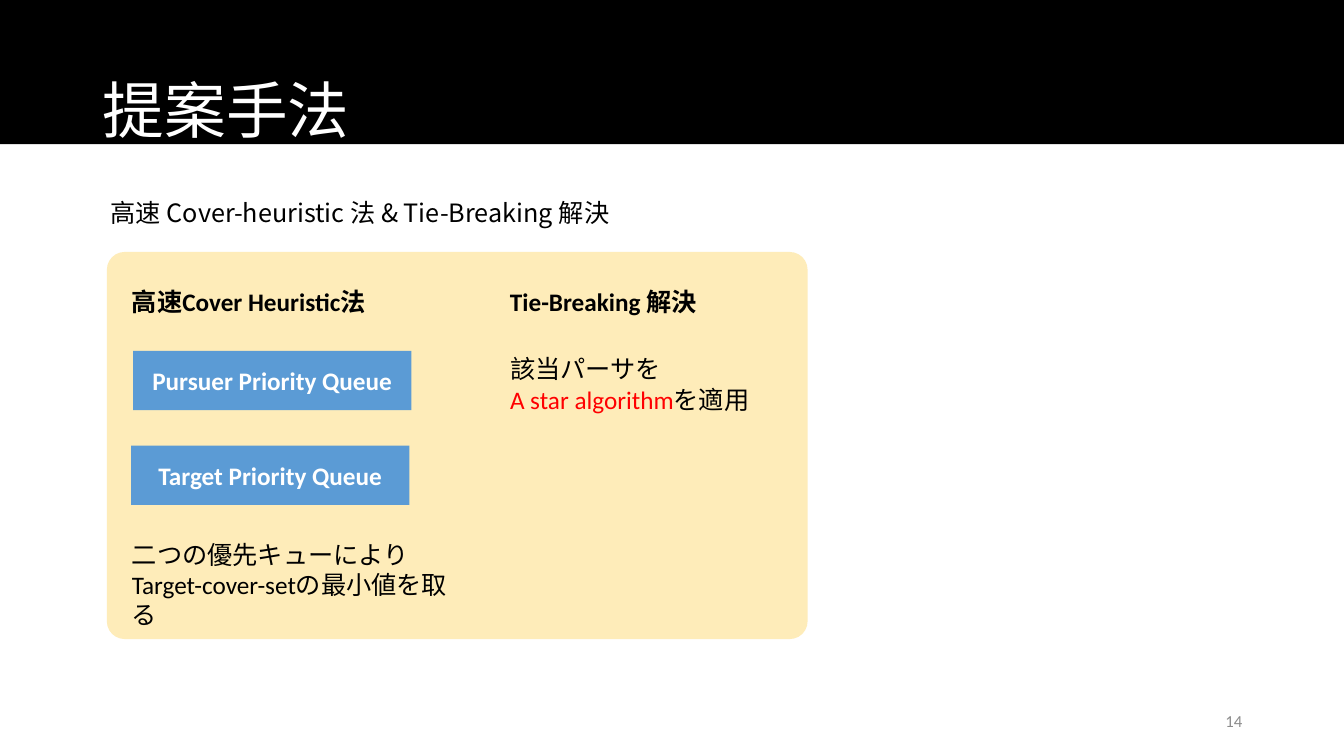
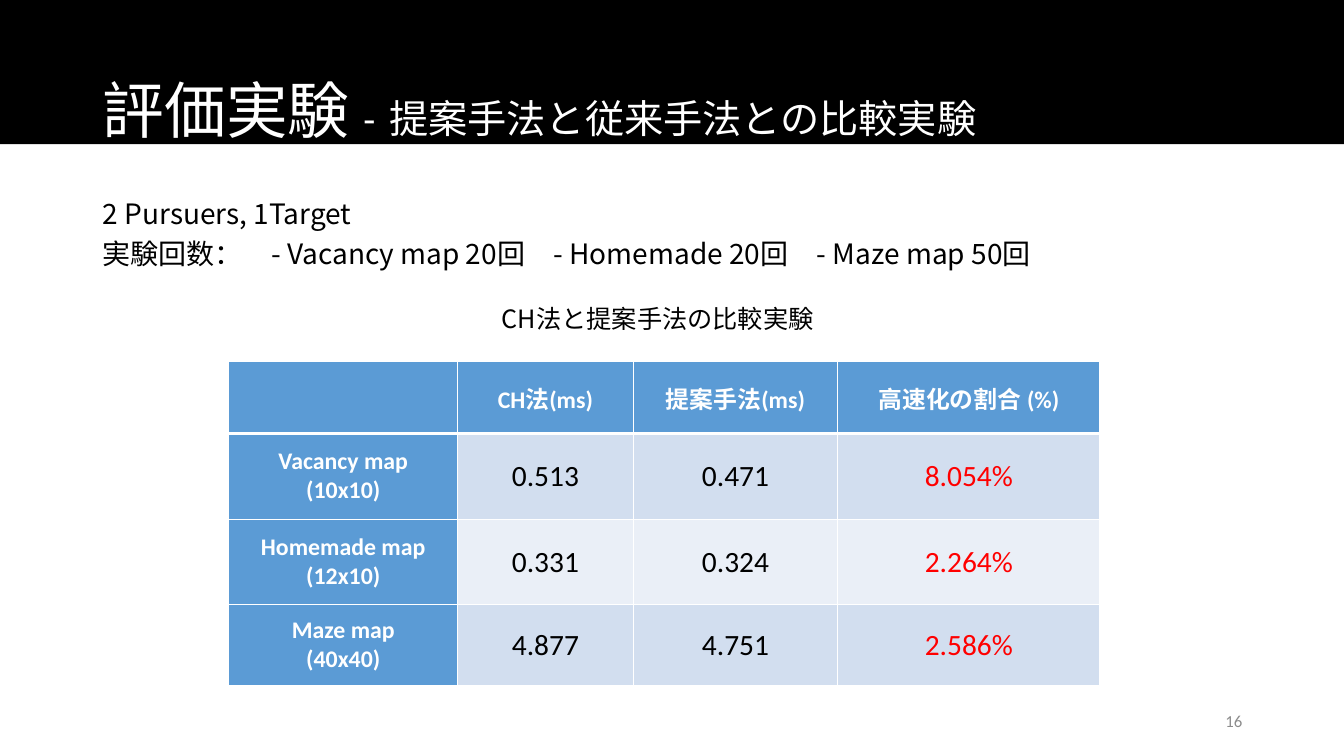
import lxml.etree
import pptx
import pptx.dml.color
import pptx.enum.shapes
import pptx.enum.text
import pptx.oxml.ns
import pptx.util
from pptx.util import Inches

ALIGN = pptx.enum.text.PP_ALIGN
ANCHOR = pptx.enum.text.MSO_ANCHOR
SHAPE = pptx.enum.shapes.MSO_SHAPE

LATIN, CJK = "Calibri", "Noto Sans CJK JP"
BLACK, WHITE, RED, GREY = "000000", "FFFFFF", "FF0000", "8C8C8C"
BLUE, CREAM = "5B9BD5", "FEECB9"
BAND_FILLS = ("D2DEEF", "EAEFF7")


def rgb(color):
    """Turn a hex string into a colour."""
    return pptx.dml.color.RGBColor.from_string(color)


def set_font(font, size, color=BLACK, face=LATIN, bold=False):
    """Format a font, with one East Asian face throughout."""
    font.size = pptx.util.Pt(size)
    font.bold = bold
    font.color.rgb = rgb(color)
    font.name = face
    east_asian = lxml.etree.SubElement(font._rPr, pptx.oxml.ns.qn("a:ea"))
    east_asian.set("typeface", CJK)


def write(frame, lines, size, color=BLACK, face=LATIN, bold=False,
          align=ALIGN.LEFT, spacing=1.0):
    """Fill a frame; a line is a string or a list of (text, font changes)."""
    style = dict(size=size, color=color, face=face, bold=bold)
    for number, line in enumerate(lines):
        paragraph = frame.add_paragraph() if number else frame.paragraphs[0]
        paragraph.alignment = align
        paragraph.line_spacing = spacing
        set_font(paragraph.font, **style)
        pieces = [(line, {})] if isinstance(line, str) else line
        for text, changes in pieces:
            run = paragraph.add_run()
            run.text = text
            if changes:
                set_font(run.font, **{**style, **changes})


def add_text(slide, left, top, width, height, lines, size=18,
             anchor=ANCHOR.TOP, **style):
    """Add a wrapping text box."""
    box = slide.shapes.add_textbox(
        Inches(left), Inches(top), Inches(width), Inches(height))
    box.text_frame.word_wrap = True
    box.text_frame.vertical_anchor = anchor
    write(box.text_frame, lines, size, **style)


def add_block(slide, kind, left, top, width, height, fill):
    """Add a flat filled shape without outline."""
    block = slide.shapes.add_shape(
        kind, Inches(left), Inches(top), Inches(width), Inches(height))
    block.shadow.inherit = False
    block.fill.solid()
    block.fill.fore_color.rgb = rgb(fill)
    block.line.fill.background()
    return block


def add_queue(slide, left, top, name):
    """Add a blue box that names a priority queue."""
    queue = add_block(slide, SHAPE.RECTANGLE, left, top, 2.76, 0.59, BLUE)
    queue.text_frame.vertical_anchor = ANCHOR.MIDDLE
    write(queue.text_frame, [name], 18, WHITE, bold=True, align=ALIGN.CENTER)


def add_slide(deck, heading, number):
    """Start a slide with the black band, its title and the page number."""
    slide = deck.slides.add_slide(deck.slide_layouts[5])
    band = add_block(slide, SHAPE.RECTANGLE, 0, 0, 13.33, 1.43, BLACK)
    title = slide.shapes.title
    title._element.addprevious(band._element)
    title.left, title.top = Inches(0.92), Inches(0.4)
    title.width, title.height = Inches(11.5), Inches(1.45)
    title.text_frame.auto_size = pptx.enum.text.MSO_AUTO_SIZE.NONE
    title.text_frame.vertical_anchor = ANCHOR.MIDDLE
    write(title.text_frame, [heading], 44, WHITE, spacing=0.9)
    add_text(slide, 9.42, 6.95, 3, 0.4, [str(number)], 12, ANCHOR.MIDDLE,
             color=GREY, align=ALIGN.RIGHT)
    return slide


def set_borders(cell, **widths):
    """Draw white cell borders; widths are points by side."""
    properties = cell._tc.get_or_add_tcPr()
    for side in "LRTB":
        width = pptx.util.Pt(widths.get(side, 1))
        line = lxml.etree.SubElement(
            properties, pptx.oxml.ns.qn("a:ln" + side), w=str(int(width)))
        fill = lxml.etree.SubElement(line, pptx.oxml.ns.qn("a:solidFill"))
        lxml.etree.SubElement(fill, pptx.oxml.ns.qn("a:srgbClr"), val=WHITE)


def format_cell(cell, row, column):
    """Give a cell its borders, margins and fill by its place."""
    if row == 0:
        set_borders(cell, B=3)
    elif row == 1:
        set_borders(cell, T=3)
    else:
        set_borders(cell)
    cell.fill.solid()
    is_label = row == 0 or column == 0
    cell.fill.fore_color.rgb = rgb(BLUE if is_label else BAND_FILLS[(row - 1) % 2])
    cell.vertical_anchor = ANCHOR.MIDDLE
    cell.margin_left = cell.margin_right = Inches(0.11)
    cell.margin_top = cell.margin_bottom = 0


def add_results(slide, left, top, widths, heights, rows):
    """Add the comparison table, with the speed-up column in red."""
    results = slide.shapes.add_table(
        len(heights), len(widths), Inches(left), Inches(top),
        Inches(sum(widths)), Inches(sum(heights))).table
    for column, width in zip(results.columns, widths):
        column.width = Inches(width)
    for row, height in zip(results.rows, heights):
        row.height = Inches(height)
    for r, values in enumerate(rows):
        for c, value in enumerate(values):
            cell = results.cell(r, c)
            format_cell(cell, r, c)
            if not value:
                continue
            if r == 0 or c == 0:
                style = dict(size=17, color=WHITE, bold=True)
            else:
                style = dict(size=21, color=RED if c == len(widths) - 1 else BLACK)
            write(cell.text_frame, value.split("\n"), align=ALIGN.CENTER, **style)


def build_method(deck):
    """Build the slide on the proposed method."""
    slide = add_slide(deck, "提案手法", 14)
    add_text(slide, 1, 1.91, 6.16, 0.4,
             ["高速 Cover-heuristic 法 & Tie-Breaking 解決"], face=CJK)
    panel = add_block(slide, SHAPE.ROUNDED_RECTANGLE, 1.06, 2.5, 6.95, 3.84, CREAM)
    panel.adjustments[0] = 0.046
    for left, heading in ((1.21, "高速Cover Heuristic法"), (4.96, "Tie-Breaking 解決")):
        add_text(slide, left, 2.79, 2.74, 0.4, [heading], bold=True)
    add_queue(slide, 1.32, 3.48, "Pursuer Priority Queue")
    add_queue(slide, 1.3, 4.42, "Target Priority Queue")
    add_text(slide, 1.21, 5.3, 3.56, 0.71,
             ["二つの優先キューによりTarget-cover-setの最小値を取る"])
    add_text(slide, 4.96, 3.46, 2.95, 0.71,
             ["該当パーサを", [("A star algorithm", {"color": RED}), ("を適用", {})]])


def build_experiment(deck):
    """Build the slide that compares both methods."""
    heading = [("評価実験 ", {}), ("-", {"size": 28}), (" ", {}),
               ("提案手法と従来手法との比較実験", {"size": 28, "face": "Arial"})]
    slide = add_slide(deck, heading, 16)
    add_text(slide, 0.92, 1.83, 10.5, 0.91,
             ["2 Pursuers, 1Target",
              "実験回数：\u3000- Vacancy map 20回\u3000- Homemade 20回\u3000- Maze map 50回"],
             20, face=CJK, spacing=1.2)
    add_text(slide, 4.88, 2.96, 3.43, 0.4, ["CH法と提案手法の比較実験"], face=CJK)
    add_results(slide, 2.27, 3.59, (2.27, 1.74, 2.03, 2.6), (0.71, 0.85, 0.85, 0.8), [
        ("", "CH法(ms)", "提案手法(ms)", "高速化の割合 (%)"),
        ("Vacancy map\n(10x10)", "0.513", "0.471", "8.054%"),
        ("Homemade map\n(12x10)", "0.331", "0.324", "2.264%"),
        ("Maze map\n(40x40)", "4.877", "4.751", "2.586%"),
    ])


def main():
    """Build and save the deck."""
    deck = pptx.Presentation()
    deck.slide_width, deck.slide_height = Inches(13.33), Inches(7.5)
    build_method(deck)
    build_experiment(deck)
    deck.save("out.pptx")


main()
